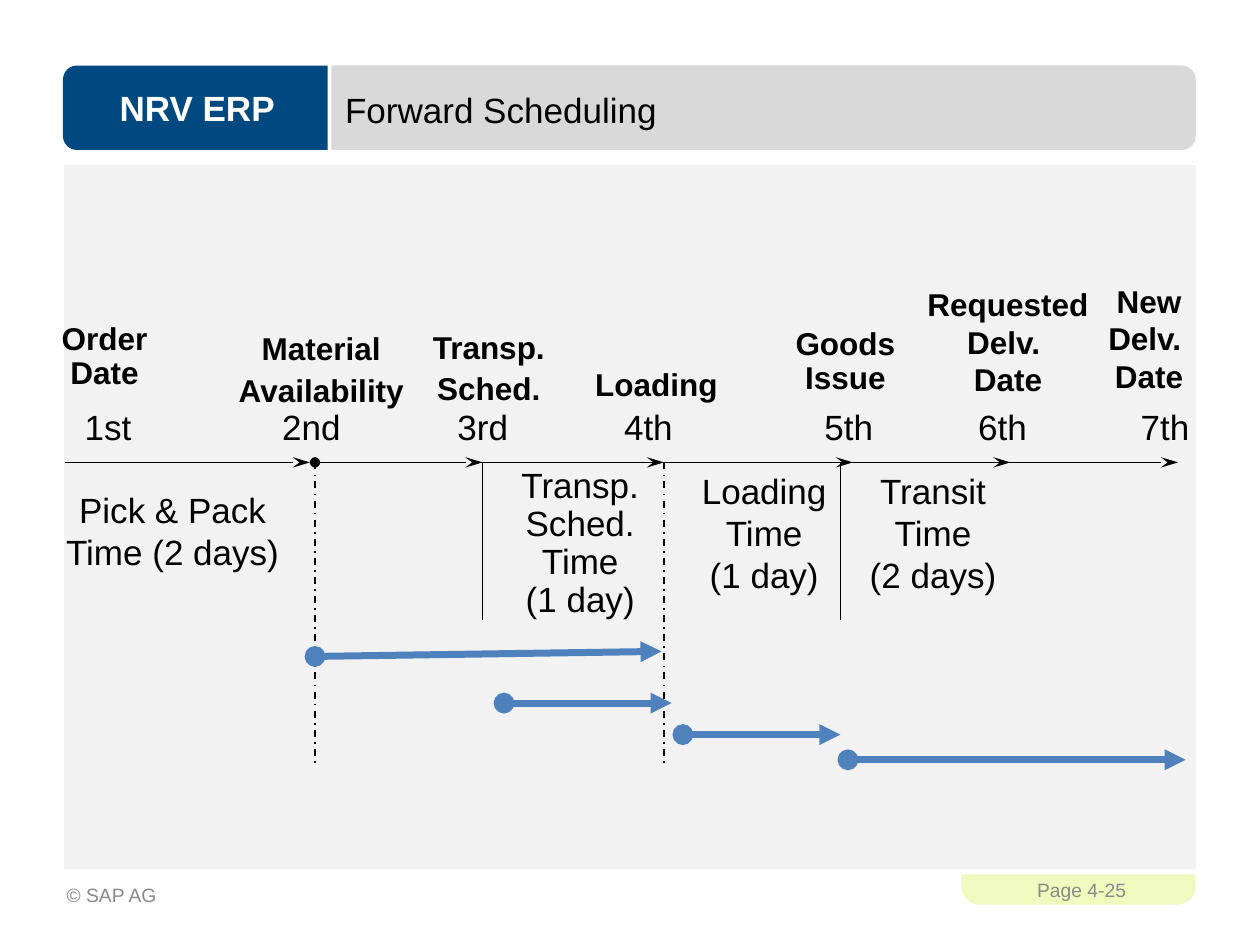
from dataclasses import dataclass

from lxml.etree import SubElement
from pptx import Presentation
from pptx.dml.color import RGBColor
from pptx.enum.dml import MSO_LINE
from pptx.enum.shapes import MSO_CONNECTOR, MSO_SHAPE
from pptx.enum.text import MSO_ANCHOR, PP_ALIGN
from pptx.oxml.ns import qn
from pptx.slide import Slide
from pptx.util import Inches, Pt

WHITE = RGBColor(0xFF, 0xFF, 0xFF)
BLACK = RGBColor(0x00, 0x00, 0x00)
NAVY = RGBColor(0x00, 0x48, 0x80)
BLUE = RGBColor(0x4F, 0x81, 0xBD)
SILVER = RGBColor(0xD9, 0xD9, 0xD9)
PALE = RGBColor(0xF2, 0xF2, 0xF2)
LIME = RGBColor(0xF1, 0xFA, 0xBE)
GREY = RGBColor(0x89, 0x89, 0x89)

AXIS_TOP = 3.67
MILESTONE_WIDTH = 1.6


@dataclass
class SchedulePage:
    page: Slide
    font_name: str = "Arial"

    def panel(self, kind, left, top, width, height, color, radius=None, rotation=0):
        shape = self.page.shapes.add_shape(
            kind, Inches(left), Inches(top), Inches(width), Inches(height))
        shape.shadow.inherit = False
        shape.fill.solid()
        shape.fill.fore_color.rgb = color
        shape.line.fill.background()
        shape.rotation = rotation
        if radius is not None:
            shape.adjustments[0] = radius

    def header_end(self, left, top, width, height, color, rotation):
        self.panel(MSO_SHAPE.ROUND_2_SAME_RECTANGLE,
                   left + (width - height) / 2, top + (height - width) / 2,
                   height, width, color, 0.165, rotation)

    def text(self, wording, left, top, width, height, size=20, bold=False,
             color=BLACK, align=PP_ALIGN.CENTER, anchor=MSO_ANCHOR.MIDDLE,
             spacing=None, wrap=False):
        box = self.page.shapes.add_textbox(
            Inches(left), Inches(top), Inches(width), Inches(height))
        frame = box.text_frame
        frame.word_wrap = wrap
        frame.vertical_anchor = anchor
        frame.text = wording
        for para in frame.paragraphs:
            para.alignment = align
            if spacing:
                para.line_spacing = spacing
            for span in para.runs:
                span.font.name = self.font_name
                span.font.size = Pt(size)
                span.font.bold = bold
                span.font.color.rgb = color

    def line(self, start, end, color=BLACK, weight=1, dash=None, head=None, tail=None):
        connector = self.page.shapes.add_connector(
            MSO_CONNECTOR.STRAIGHT, *(Inches(value) for value in (*start, *end)))
        connector.line.color.rgb = color
        connector.line.width = Pt(weight)
        if dash:
            connector.line.dash_style = dash
        properties = connector.line._get_or_add_ln()
        for tag, arrow in (("a:headEnd", head), ("a:tailEnd", tail)):
            if arrow:
                tip = SubElement(properties, qn(tag))
                tip.set("type", arrow)
                if arrow == "stealth":
                    tip.set("len", "lg")
        SubElement(connector._element.spPr, qn("a:effectLst"))


def draw_frame(schedule):
    schedule.panel(MSO_SHAPE.ROUNDED_RECTANGLE, 7.63, 6.78, 1.86, 0.4, LIME, 0.365)
    schedule.panel(MSO_SHAPE.RECTANGLE, 7.51, 6.7, 2.23, 0.24, WHITE)
    schedule.panel(MSO_SHAPE.RECTANGLE, 0.51, 1.31, 8.98, 5.59, PALE)
    schedule.header_end(0.5, 0.52, 2.1, 0.67, NAVY, 270)
    schedule.header_end(2.63, 0.52, 6.86, 0.67, SILVER, 90)
    schedule.text("NRV ERP", 0.5, 0.52, 2.13, 0.67, bold=True, color=WHITE, wrap=True)
    schedule.text("Forward Scheduling", 2.64, 0.54, 6.67, 0.65,
                  align=PP_ALIGN.LEFT, wrap=True)
    schedule.text("Page 4-25", 7.68, 6.86, 1.81, 0.4, 11, color=GREY, wrap=True)
    schedule.text("© SAP AG", 0.43, 6.9, 4.51, 0.4, 11, color=GREY,
                  align=PP_ALIGN.LEFT, wrap=True)


def draw_labels(schedule):
    milestones = (
        ("Order\nDate", 0.83, 2.5, 0.67, 0.9),
        ("Material\nAvailability", 2.55, 2.5, 0.83, 1.1),
        ("Transp.\nSched.", 3.88, 2.5, 0.8, 1.1),
        ("Loading", 5.21, 2.67, 0.8, 0.9),
        ("Goods\nIssue", 6.71, 2.5, 0.75, 0.9),
        ("Requested\nDelv. \nDate", 8, 2.17, 1.08, None),
        ("New\nDelv. \nDate", 9.12, 2.33, 0.71, None),
    )
    for label, center, top, height, spacing in milestones:
        schedule.text(label, center - MILESTONE_WIDTH / 2, top, MILESTONE_WIDTH,
                      height, size=18, bold=True, spacing=spacing, wrap=True)

    days = (("1st ", 0.57, 0.65), ("2nd ", 2.14, 0.74), ("3rd ", 3.53, 0.68),
            ("4th ", 4.85, 0.67), ("5th ", 6.44, 0.67), ("6th ", 7.66, 0.67),
            ("7th ", 8.95, 0.67))
    for day, left, width in days:
        schedule.text(day, left, 3.17, width, 0.43, anchor=MSO_ANCHOR.TOP)

    durations = (
        ("Pick & Pack\nTime (2 days)", 0.33, 3.83, 2.08, 0.77, None, True),
        ("Transp.\nSched.\nTime\n(1 day)", 4.03, 3.67, 1.15, 1.3, 0.9, False),
        ("Loading\nTime\n(1 day)", 5.47, 3.68, 1.19, 1.1, None, False),
        ("Transit\nTime\n(2 days)", 6.8, 3.68, 1.21, 1.1, None, False),
    )
    for *label, spacing, wrap in durations:
        schedule.text(*label, anchor=MSO_ANCHOR.TOP, spacing=spacing, wrap=wrap)


def draw_timeline(schedule):
    steps = ((0.52, 2.46, None), (2.5, 3.83, "oval"), (3.75, 5.27, None),
             (5.08, 6.77, None), (6.5, 8.02, None), (7.83, 9.35, None))
    for start, end, head in steps:
        schedule.line((start, AXIS_TOP), (end, AXIS_TOP), head=head, tail="stealth")

    markers = ((2.5, 6.08, MSO_LINE.DASH_DOT), (3.83, 4.92, None),
               (5.27, 6.08, MSO_LINE.DASH_DOT), (6.67, 4.92, None))
    for left, bottom, dash in markers:
        schedule.line((left, AXIS_TOP), (left, bottom), dash=dash)

    spans = (((2.5, 5.21), (5.25, 5.17)), ((4, 5.58), (5.33, 5.58)),
             ((5.42, 5.83), (6.67, 5.83)), ((6.73, 6.03), (9.41, 6.03)))
    for start, end in spans:
        schedule.line(start, end, BLUE, 4, head="oval", tail="triangle")


def main():
    deck = Presentation()
    deck.slide_width = Inches(10)
    deck.slide_height = Inches(7.5)
    schedule = SchedulePage(deck.slides.add_slide(deck.slide_layouts[6]))
    draw_frame(schedule)
    draw_labels(schedule)
    draw_timeline(schedule)
    deck.save("out.pptx")


if __name__ == "__main__":
    main()
